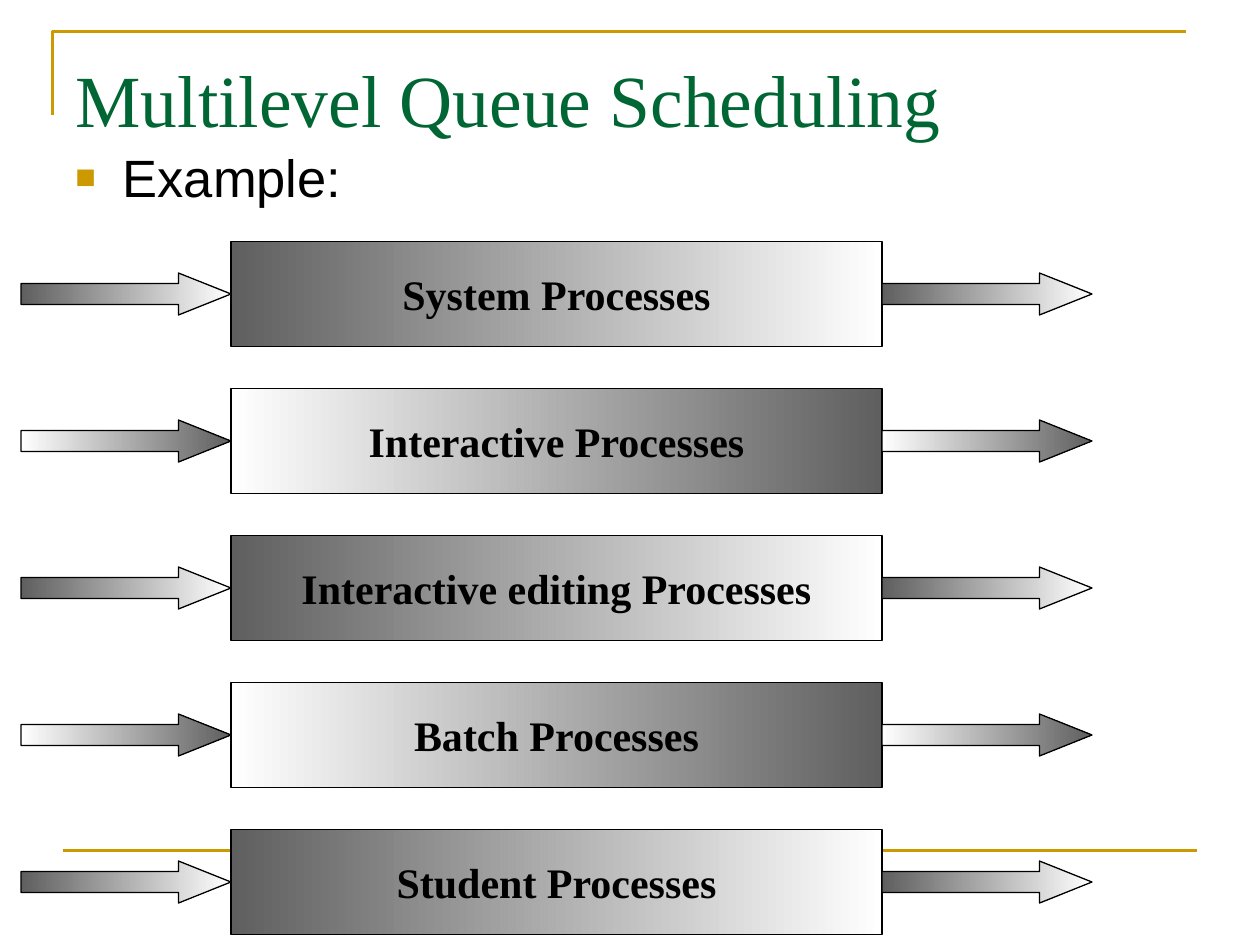
"""Build the Multilevel Queue Scheduling slide."""
from lxml.etree import SubElement
from pptx import Presentation
from pptx.dml.color import RGBColor
from pptx.enum.shapes import MSO_CONNECTOR as Connector, MSO_SHAPE as Shape
from pptx.enum.text import MSO_ANCHOR as Anchor, MSO_AUTO_SIZE as AutoSize, PP_ALIGN as Align
from pptx.oxml.ns import qn
from pptx.util import Pt

GOLD, GREEN, BLACK, GRAY, WHITE = "CC9900", "006633", "000000", "5F5F5F", "FFFFFF"


def color(hex_string):
    return RGBColor.from_string(hex_string)


def write(shape, text, size, font_name, hex_string, align, anchor, bold=False):
    frame = shape.text_frame
    frame.text = text
    frame.auto_size = AutoSize.NONE
    frame.vertical_anchor = anchor
    paragraph = frame.paragraphs[0]
    paragraph.alignment = align
    font = paragraph.runs[0].font
    font.size, font.name, font.bold = Pt(size), font_name, bold
    font.color.rgb = color(hex_string)
    return paragraph


presentation = Presentation()
presentation.slide_width, presentation.slide_height = Pt(720), Pt(540)
slide = presentation.slides.add_slide(presentation.slide_layouts[5])
shapes = slide.shapes

builder = shapes.build_freeform(Pt(30), Pt(66))
builder.add_line_segments([(Pt(30), Pt(18)), (Pt(678), Pt(18))], close=False)
corner = builder.convert_to_shape()
corner.shadow.inherit = False
corner.fill.background()

bottom_rule = shapes.add_connector(Connector.STRAIGHT, Pt(36), Pt(486), Pt(684), Pt(486))
SubElement(bottom_rule._element.spPr, qn("a:effectLst"))
for rule in (corner, bottom_rule):
    rule.line.color.rgb = color(GOLD)
    rule.line.width = Pt(1.5)

title = shapes.title
title.left, title.top, title.width, title.height = Pt(36), Pt(21.6), Pt(648), Pt(90)
write(title, "Multilevel Queue Scheduling", 42, "Times New Roman", GREEN, Align.LEFT, Anchor.TOP)
title.text_frame.margin_top = Pt(9)

body = shapes.add_textbox(Pt(36), Pt(77), Pt(648), Pt(45))
paragraph = write(body, "Example:", 30, "Arial", BLACK, Align.LEFT, Anchor.TOP)
body.text_frame.word_wrap = True
body.text_frame.margin_top = Pt(6)
properties = paragraph._p.get_or_add_pPr()
properties.set("marL", str(Pt(27)))
properties.set("indent", str(-Pt(27)))
bullet_color = SubElement(properties, qn("a:buClr"))
SubElement(bullet_color, qn("a:srgbClr"), val=GOLD)
SubElement(properties, qn("a:buSzPct"), val="65000")
SubElement(properties, qn("a:buFont"), typeface="Arial")
SubElement(properties, qn("a:buChar"), char="■")

queues = ["System Processes", "Interactive Processes", "Interactive editing Processes",
          "Batch Processes", "Student Processes"]
for index, name in enumerate(queues):
    top = 138 + 84 * index
    queue = shapes.add_shape(Shape.RECTANGLE, Pt(132), Pt(top), Pt(372), Pt(60))
    write(queue, name, 24, "Times New Roman", BLACK, Align.CENTER, Anchor.MIDDLE, bold=True)
    queue.text_frame.word_wrap = False
    arrows = [shapes.add_shape(Shape.RIGHT_ARROW, Pt(left), Pt(top + 18), Pt(120), Pt(24))
              for left in (12, 504)]
    for arrow in arrows:
        arrow.adjustments[0], arrow.adjustments[1] = 0.5, 1.25
    stop_colors = (GRAY, WHITE) if index % 2 == 0 else (WHITE, GRAY)
    for shape in (queue, *arrows):
        shape.shadow.inherit = False
        shape.fill.gradient()
        shape.fill.gradient_angle = 0
        for position, (stop, hex_string) in enumerate(zip(shape.fill.gradient_stops, stop_colors)):
            stop.position = position
            stop.color.rgb = color(hex_string)
        shape.line.color.rgb = color(BLACK)
        shape.line.width = Pt(0.75)

presentation.save("out.pptx")
